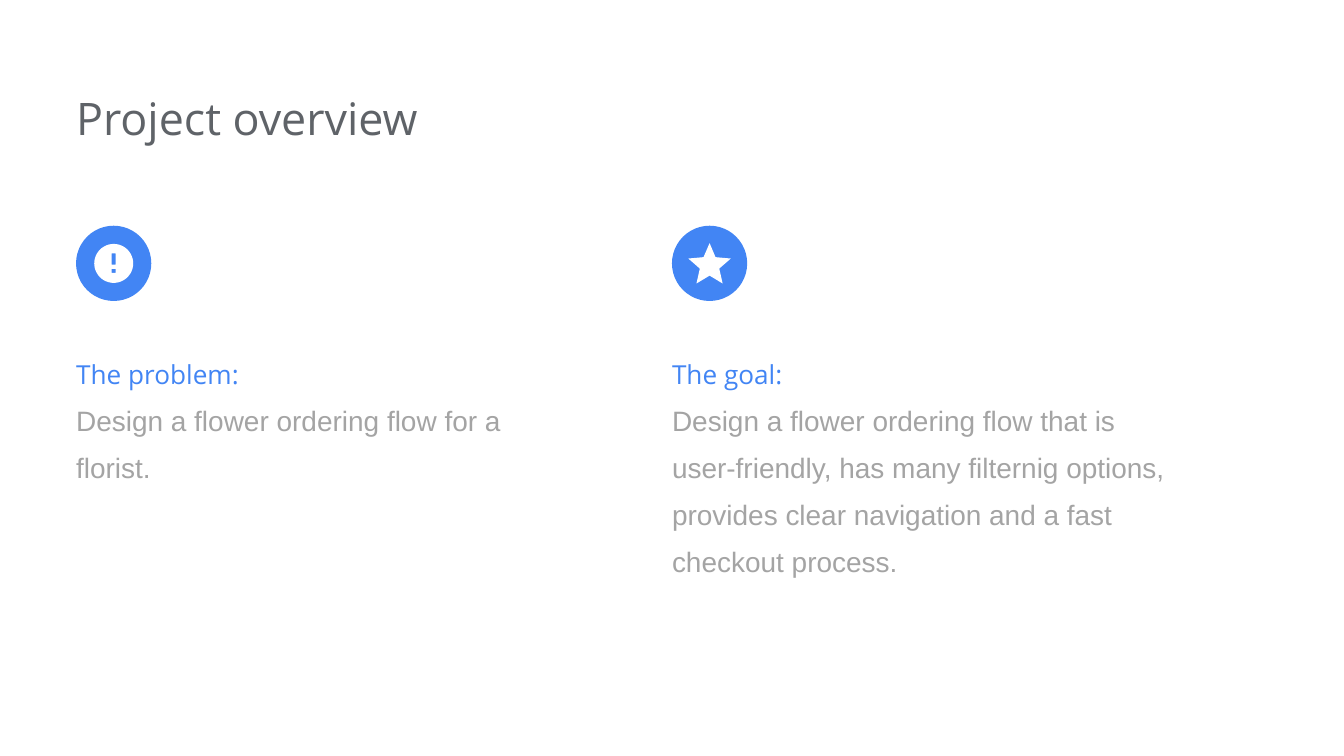
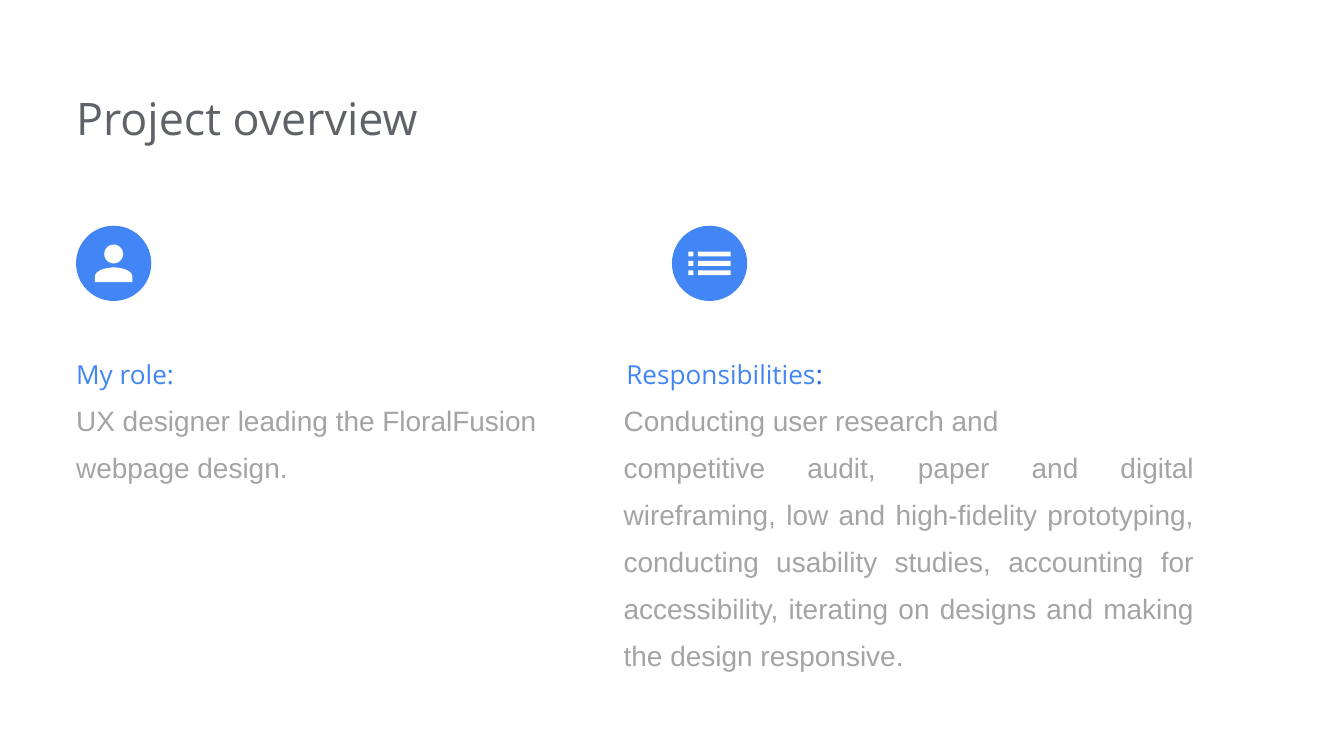
from math import cos, pi, sin

from pptx import Presentation
from pptx.dml.color import RGBColor
from pptx.enum.shapes import MSO_SHAPE
from pptx.enum.text import MSO_ANCHOR, MSO_AUTO_SIZE, PP_ALIGN
from pptx.oxml.ns import qn
from pptx.util import Inches, Pt

OVAL = MSO_SHAPE.OVAL
TOP, FIXED = MSO_ANCHOR.TOP, MSO_AUTO_SIZE.NONE
LEFT, JUST = PP_ALIGN.LEFT, PP_ALIGN.JUSTIFY

COLOR = {"title": "5F6368", "blue": "4285F4", "deep": "1967D2",
         "text": "A4A4A4", "white": "FFFFFF"}
HEAD_FONT, BODY_FONT = "Open Sans", "Arial"

# Grid: one unit is a hundredth of the slide's width
WIDTH = Inches(10)
HEIGHT = WIDTH * 9 // 16
UNIT = WIDTH / 100
COLS = (5.66, 50)
TITLE_ROW, ICON_ROW, TEXT_ROW = 5.74, 16.8, 24.5
DISC = 5.6
COL_W = 37.7


def size(n):
    return round(n * UNIT)


def rgb(name):
    return RGBColor.from_string(COLOR[name])


# Outlines of the icons, measured from the centre of the disc
def arc(x, y, rx, ry, start=0, sweep=2 * pi, steps=48):
    turns = [start + sweep * i / steps for i in range(steps + 1)]
    return [(x + rx * cos(t), y + ry * sin(t)) for t in turns]


def rect(x, y, w, h):
    return [(x, y), (x, y + h), (x + w, y + h), (x + w, y)]


def star(y, outer, inner):
    spokes = [(inner if i % 2 else outer, i * pi / 5) for i in range(10)]
    return [(r * sin(t), y - r * cos(t)) for r, t in spokes]


ALERT = [arc(0, 0, 1.45, 1.45), rect(-0.15, -0.75, 0.3, 0.85),
         rect(-0.15, 0.4, 0.3, 0.3)]
STAR = [star(0.15, 1.66, 0.76)]
PERSON = [arc(0, -0.7, 0.7, 0.7),
          arc(0, 1, 1.4, 0.7, pi, pi) + [(1.4, 1.4), (-1.4, 1.4)]]
LIST = [rect(x, -0.88 + 0.7 * i, w, 0.36)
        for i in range(3) for x, w in ((-1.57, 0.36), (-0.87, 2.44))]


def paint(shape, color):
    shape.shadow.inherit = False
    shape.fill.solid()
    shape.fill.fore_color.rgb = rgb(color)
    shape.line.fill.background()


def icon(slide, col, outline):
    x, y = COLS[col], ICON_ROW
    disc = slide.shapes.add_shape(
        OVAL, size(x), size(y), size(DISC), size(DISC))
    paint(disc, "blue")
    mid_x, mid_y = x + DISC / 2, y + DISC / 2
    parts = [[(size(mid_x + dx), size(mid_y + dy)) for dx, dy in part]
             for part in outline]
    pen = slide.shapes.build_freeform(*parts[0][0])
    for i, part in enumerate(parts):
        if i:
            pen.move_to(*part[0])
        pen.add_line_segments(part[1:], close=True)
    paint(pen.convert_to_shape(), "white")


def frame(holder, x, y, w, h):
    holder.left, holder.top = size(x), size(y)
    holder.width, holder.height = size(w), size(h)
    box = holder.text_frame
    box.word_wrap, box.auto_size = True, FIXED
    box.vertical_anchor = TOP
    box.margin_left = 0
    box.margin_top = box.margin_right = box.margin_bottom = size(1)
    return box


def style(para, font, pts, color, space=1.0, align=LEFT, inset=(0, 0)):
    props = para._p.get_or_add_pPr()
    for side, gap in zip(("marL", "marR"), inset):
        props.set(side, str(size(gap)))
    props.set("indent", "0")
    props.append(props.makeelement(qn("a:buNone"), {}))
    para.alignment, para.line_spacing = align, space
    para.space_before = para.space_after = Pt(0)
    para.font.name, para.font.size = font, Pt(pts)
    para.font.color.rgb = rgb(color)


def title(slide, text):
    box = frame(slide.shapes.title, COLS[0], TITLE_ROW, 67.3, 6.1)
    box.text = text
    style(box.paragraphs[0], HEAD_FONT, 24, "title")


def block(slide, col, head, lines, x=None, w=COL_W, h=18.2,
          align=LEFT, shift=0, inset=(0, 0)):
    left = COLS[col] if x is None else x
    box = frame(slide.placeholders[col + 1], left, TEXT_ROW, w, h)
    box.text = head
    style(box.paragraphs[0], HEAD_FONT, 14, "blue", 1.5, inset=(shift, 0))
    for line in lines:
        para = box.add_paragraph()
        para.text = line
        style(para, BODY_FONT, 15, "text", 1.4, align, inset)
    return box


def page(deck, icons):
    slide = deck.slides.add_slide(deck.slide_layouts.get_by_name("Two Content"))
    title(slide, "Project overview")
    for col, outline in enumerate(icons):
        icon(slide, col, outline)
    return slide


def main():
    deck = Presentation()
    deck.slide_width, deck.slide_height = WIDTH, HEIGHT

    # Problem and goal
    slide = page(deck, (ALERT, STAR))
    block(slide, 0, "The problem:",
          ["Design a flower ordering flow for a florist."])
    block(slide, 1, "The goal:",
          ["Design a flower ordering flow that is user-friendly, has many "
           "filternig options, provides clear navigation and a fast "
           "checkout process."], h=25.2)

    # Role and responsibilities
    slide = page(deck, (PERSON, LIST))
    block(slide, 0, "My role:",
          ["UX designer leading the FloralFusion webpage design."])
    box = block(slide, 1, "Responsibilities",
                ["Conducting user research and",
                 "competitive audit, paper and digital wireframing, low and "
                 "high-fidelity prototyping, conducting usability studies, "
                 "accounting for accessibility, iterating on designs and "
                 "making the design responsive."],
                x=36, w=64, h=31.7, align=JUST, shift=10.6,
                inset=(10.4, 10.15))
    colon = box.paragraphs[0].add_run()
    colon.text = ":"
    colon.font.color.rgb = rgb("deep")

    deck.save("out.pptx")


if __name__ == "__main__":
    main()
